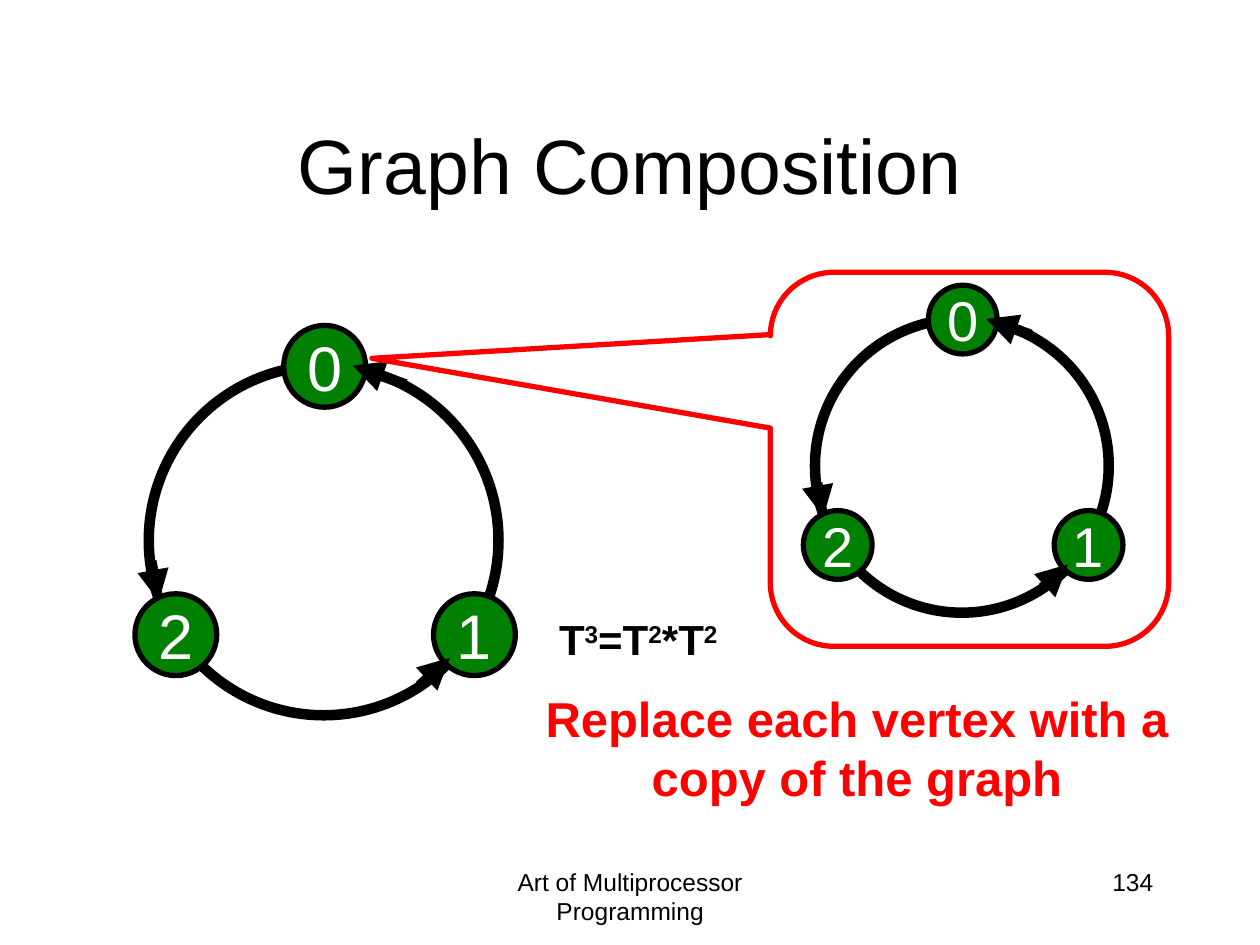
from lxml import etree
from pptx import Presentation
from pptx.dml.color import RGBColor
from pptx.enum.shapes import MSO_CONNECTOR, MSO_SHAPE
from pptx.enum.text import MSO_ANCHOR, PP_ALIGN
from pptx.oxml.ns import qn
from pptx.util import Cm, Pt

LEFT, CENTER, RIGHT = PP_ALIGN.LEFT, PP_ALIGN.CENTER, PP_ALIGN.RIGHT
MIDDLE = MSO_ANCHOR.MIDDLE
OVAL = MSO_SHAPE.OVAL
CALLOUT = MSO_SHAPE.ROUNDED_RECTANGULAR_CALLOUT
STRAIGHT = MSO_CONNECTOR.STRAIGHT

BLACK, WHITE, RED, GREEN = "000000", "FFFFFF", "FF0000", "008000"

# Ring geometry in cm, measured from the top left of the ring at scale 1
RING_SIZE = 7.05
NODE_SIZE = 1.65
NODES = [("0", 2.72, -0.81), ("1", 5.74, 4.6), ("2", -0.28, 4.6)]
ARROWS = [(0.05, 3.94, 0.2, 4.75), (5.46, 6.45, 6.07, 5.89), (5.18, 0.38, 4.11, 0)]


def rgb(color):
    return RGBColor.from_string(color)


def style_paragraph(p, size, color, align, bold=False):
    p.alignment = align
    p.font.name = "Arial"
    p.font.size = Pt(size)
    p.font.bold = bold
    p.font.color.rgb = rgb(color)


def add_text(s, box, runs, size, color=BLACK, align=CENTER, bold=False, wrap=True):
    """Add a text box; every second run is superscript."""
    tf = s.shapes.add_textbox(*map(Cm, box)).text_frame
    tf.word_wrap = wrap
    p = tf.paragraphs[0]
    style_paragraph(p, size, color, align, bold)
    for i, text in enumerate(runs):
        r = p.add_run()
        r.text = text
        if i % 2:
            r._r.get_or_add_rPr().set("baseline", "30000")


def add_outline(shapes, kind, box, color, width, fill=None):
    sp = shapes.add_shape(kind, *map(Cm, box))
    sp.shadow.inherit = False
    sp.line.color.rgb = rgb(color)
    sp.line.width = Pt(width)
    if fill:
        sp.fill.solid()
        sp.fill.fore_color.rgb = rgb(fill)
    else:
        sp.fill.background()
    return sp


def add_node(shapes, label, x, y, size, font_size):
    sp = add_outline(shapes, OVAL, (x, y, size, size), BLACK, 3, GREEN)
    tf = sp.text_frame
    tf.word_wrap = False
    tf.vertical_anchor = MIDDLE
    p = tf.paragraphs[0]
    p.text = label
    style_paragraph(p, font_size, WHITE, CENTER)


def add_arrow(shapes, ends):
    line = shapes.add_connector(STRAIGHT, *map(Cm, ends))
    line.line.color.rgb = rgb(BLACK)
    line.line.width = Pt(6)
    etree.SubElement(line.line._get_or_add_ln(), qn("a:tailEnd"), type="triangle")
    etree.SubElement(line._element.spPr, qn("a:effectLst"))


def add_ring(s, left, top, scale, font_size):
    """Add a directed cycle of three vertices as one group."""
    shapes = s.shapes.add_group_shape().shapes
    size = RING_SIZE * scale
    add_outline(shapes, OVAL, (left, top, size, size), BLACK, 6)
    for label, x, y in NODES:
        add_node(shapes, label, left + x * scale, top + y * scale,
                 NODE_SIZE * scale, font_size)
    for x1, y1, x2, y2 in ARROWS:
        add_arrow(shapes, (left + x1 * scale, top + y1 * scale,
                           left + x2 * scale, top + y2 * scale))


def add_title(s, text):
    title = s.shapes.title
    title.left, title.top, title.width, title.height = map(Cm, (1.9, 1.7, 21.6, 3.18))
    tf = title.text_frame
    tf.vertical_anchor = MIDDLE
    p = tf.paragraphs[0]
    p.text = text
    style_paragraph(p, 44, BLACK, CENTER)


def add_callout(s):
    sp = add_outline(s.shapes, CALLOUT, (15.53, 5.49, 8.03, 7.54), RED, 3)
    for i, value in enumerate((-1.5, -0.27, 0.17)):
        sp.adjustments[i] = value


def main():
    prs = Presentation()
    prs.slide_width, prs.slide_height = Cm(25.4), Cm(19.05)
    s = prs.slides.add_slide(prs.slide_layouts[5])
    add_title(s, "Graph Composition")
    add_text(s, (8.68, 17.35, 8.05, 1.27), ["Art of Multiprocessor Programming"], 14)
    add_text(s, (18.2, 17.35, 5.3, 1.27), ["134"], 14, align=RIGHT)
    add_ring(s, 3, 7.37, 1, 36)
    add_ring(s, 16.43, 6.43, 0.84, 32)
    add_callout(s)
    add_text(s, (10.05, 13.75, 14.45, 2.64),
             ["Replace each vertex with a copy of the graph"], 28, RED, bold=True)
    add_text(s, (11.02, 12.25, 3.7, 1.27), ["T", "3", "=T", "2", "*T", "2"], 24,
             align=LEFT, bold=True, wrap=False)
    prs.save("out.pptx")


if __name__ == "__main__":
    main()
